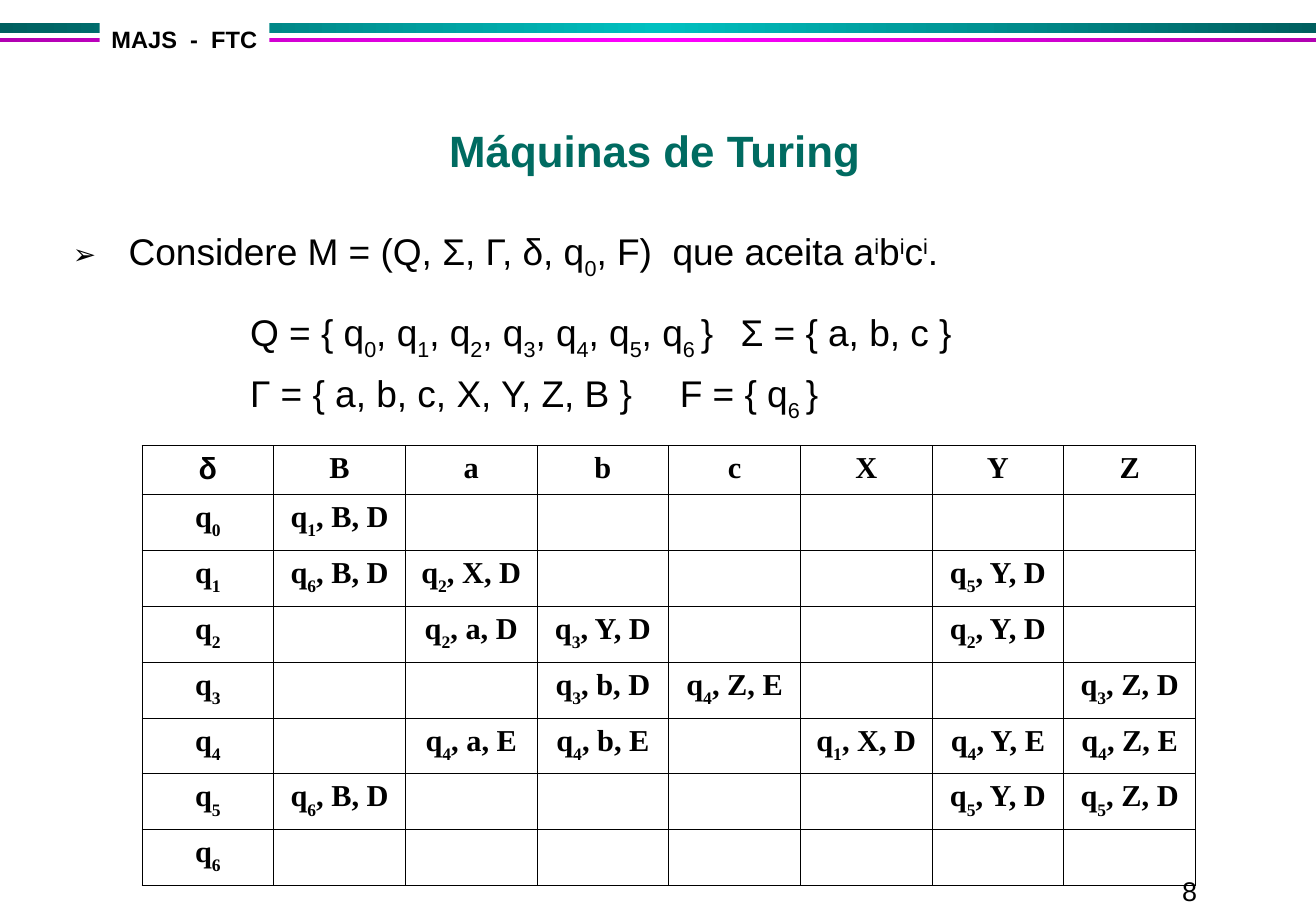
import copy

import pptx
import pptx.dml.color
import pptx.enum.shapes
import pptx.enum.text
import pptx.oxml
import pptx.oxml.ns
import pptx.util

Inches = pptx.util.Inches
Pt = pptx.util.Pt
RGBColor = pptx.dml.color.RGBColor
ALIGN = pptx.enum.text.PP_ALIGN
ANCHOR = pptx.enum.text.MSO_ANCHOR

BLACK = RGBColor(0x00, 0x00, 0x00)
WHITE = RGBColor(0xFF, 0xFF, 0xFF)
TITLE_GREEN = RGBColor(0x00, 0x6B, 0x61)
DARK_TEAL = RGBColor(0x00, 0x5F, 0x5F)
LIGHT_TEAL = RGBColor(0x00, 0xC0, 0xC0)
DARK_MAGENTA = RGBColor(0xB1, 0x00, 0xB1)
MAGENTA = RGBColor(0xFF, 0x00, 0xFF)

# In the texts, _ lowers and ^ raises the next character.
BASELINES = {"_": -30000, "^": 30000}

TITLE = "Máquinas de Turing"
HEADER = "MAJS  -  FTC"
PAGE_NUMBER = "8"
STATEMENT = "Considere M = (Q, Σ, Γ, δ, q_0, F)  que aceita a^ib^ic^i."
DEFINITIONS = [
    ("Q = { q_0, q_1, q_2, q_3, q_4, q_5, q_6_ }\tΣ = { a, b, c }", 16.7),
    ("Γ = { a, b, c, X, Y, Z, B }\tF = { q_6_ }", 5.5),
]
SYMBOLS = ["B", "a", "b", "c", "X", "Y", "Z"]
TRANSITIONS = [
    {"B": "q_1, B, D"},
    {"B": "q_6, B, D", "a": "q_2, X, D", "Y": "q_5, Y, D"},
    {"a": "q_2, a, D", "b": "q_3, Y, D", "Y": "q_2, Y, D"},
    {"b": "q_3, b, D", "c": "q_4, Z, E", "Z": "q_3, Z, D"},
    {"a": "q_4, a, E", "b": "q_4, b, E", "X": "q_1, X, D",
     "Y": "q_4, Y, E", "Z": "q_4, Z, E"},
    {"B": "q_6, B, D", "Y": "q_5, Y, D", "Z": "q_5, Z, D"},
    {},
]
BARS = [
    (0.19, 0.08, DARK_TEAL, LIGHT_TEAL),
    (0.31, 0.04, DARK_MAGENTA, MAGENTA),
]
BORDER_SIDES = ["lnL", "lnR", "lnT", "lnB"]


def xml(source):
    """Parse an element written with the a: prefix."""
    namespace = pptx.oxml.ns.nsdecls("a")
    return pptx.oxml.parse_xml(source.replace(" ", f" {namespace} ", 1))


def split_baselines(text):
    """Split marked text into [text, baseline] pieces."""
    pieces, baseline = [], 0
    for character in text:
        if character in BASELINES:
            baseline = BASELINES[character]
            continue
        if pieces and pieces[-1][1] == baseline:
            pieces[-1][0] += character
        else:
            pieces.append([character, baseline])
        baseline = 0
    return pieces


def write(paragraph, text, size=22, font="Arial", color=BLACK, bold=False,
          align=ALIGN.LEFT, space_before=0):
    """Write marked text into a paragraph with the given format."""
    paragraph.alignment = align
    paragraph.space_before = Pt(space_before)
    paragraph.line_spacing = 1.0
    for piece, baseline in split_baselines(text):
        run = paragraph.add_run()
        run.text = piece
        run.font.size = Pt(size)
        run.font.name = font
        run.font.bold = bold
        run.font.color.rgb = color
        if baseline:
            run.font._element.set("baseline", str(baseline))


def place(shape, left, top, width, height):
    """Move and size a shape, in inches."""
    shape.left, shape.top = Inches(left), Inches(top)
    shape.width, shape.height = Inches(width), Inches(height)


def add_bar(slide, top, height, edge, middle):
    """Add a bar that is lightest at its middle."""
    bar = slide.shapes.add_shape(
        pptx.enum.shapes.MSO_SHAPE.RECTANGLE,
        0, Inches(top), Inches(10.84), Inches(height))
    bar.shadow.inherit = False
    bar.line.fill.background()
    bar.fill.gradient()
    stop_list = bar._element.xpath("./p:spPr/a:gradFill/a:gsLst")[0]
    stop_list.append(copy.deepcopy(stop_list[0]))
    for stop, position, color in zip(
            bar.fill.gradient_stops, (0, 0.5, 1), (edge, middle, edge)):
        stop.position = position
        stop.color.rgb = color
    bar.fill.gradient_angle = 0


def add_label(slide, text, left, top, width, height, **text_format):
    """Add a one-line text box and return it."""
    label = slide.shapes.add_textbox(
        Inches(left), Inches(top), Inches(width), Inches(height))
    label.text_frame.word_wrap = False
    write(label.text_frame.paragraphs[0], text, **text_format)
    return label


def fill_body(body):
    """Write the statement and the definitions of the machine."""
    place(body, 0.5, 1.83, 10, 5.08)
    frame = body.text_frame
    frame.auto_size = pptx.enum.text.MSO_AUTO_SIZE.NONE
    frame.vertical_anchor = ANCHOR.TOP
    statement = frame.paragraphs[0]
    write(statement, STATEMENT, space_before=5.5)
    properties = statement._p.get_or_add_pPr()
    properties.set("marL", str(Inches(0.46)))
    properties.set("indent", str(Inches(-0.46)))
    for source in ('<a:buClr ><a:srgbClr val="000000"/></a:buClr>',
                   '<a:buSzPct val="75000"/>',
                   '<a:buFont typeface="Arial"/>',
                   '<a:buChar char="➢"/>'):
        properties.append(xml(source))
    for text, space_before in DEFINITIONS:
        paragraph = frame.add_paragraph()
        write(paragraph, text, space_before=space_before)
        properties = paragraph._p.get_or_add_pPr()
        properties.set("marL", "0")
        properties.set("indent", str(Inches(1.46)))
        properties.append(xml("<a:buNone />"))
        properties.append(xml(
            f'<a:tabLst ><a:tab pos="{Inches(6.46)}" algn="l"/></a:tabLst>'))


def format_cell(cell):
    """Clear the fill of a cell and draw its thin black borders."""
    properties = cell._tc.get_or_add_tcPr()
    for side in BORDER_SIDES:
        properties.append(xml(
            f'<a:{side} w="{Pt(0.45)}"><a:solidFill>'
            f'<a:srgbClr val="{BLACK}"/></a:solidFill></a:{side}>'))
    cell.fill.background()


def add_transition_table(slide):
    """Add the table of the transition function."""
    rows = [["δ"] + SYMBOLS]
    for state, moves in enumerate(TRANSITIONS):
        rows.append([f"q_{state}"] + [moves.get(s, "") for s in SYMBOLS])
    table = slide.shapes.add_table(
        len(rows), len(rows[0]), Inches(1.17), Inches(3.67),
        Inches(8.68), Inches(3.62)).table
    table.first_row = table.horz_banding = False
    for column in table.columns:
        column.width = Inches(8.68 / len(rows[0]))
    for row_index, texts in enumerate(rows):
        table.rows[row_index].height = Inches(0.46 if row_index else 0.4)
        for column_index, text in enumerate(texts):
            cell = table.cell(row_index, column_index)
            format_cell(cell)
            font = "Arial" if text == "δ" else "Times New Roman"
            write(cell.text_frame.paragraphs[0], text, size=18, font=font,
                  bold=True, align=ALIGN.CENTER, space_before=4.5)


presentation = pptx.Presentation()
presentation.slide_width = Inches(10.84)
presentation.slide_height = Inches(7.5)
slide = presentation.slides.add_slide(presentation.slide_layouts[1])

for bar_format in BARS:
    add_bar(slide, *bar_format)
add_label(slide, PAGE_NUMBER, 9.64, 7.15, 1.2, 0.36, size=16)
header = add_label(slide, HEADER, 0.82, 0.16, 1.4, 0.33, size=14, bold=True)
header.fill.solid()
header.fill.fore_color.rgb = WHITE

title = slide.shapes.title
place(title, 0.79, 0.81, 9.21, 0.69)
title.text_frame.vertical_anchor = ANCHOR.BOTTOM
write(title.text_frame.paragraphs[0], TITLE, size=26, color=TITLE_GREEN,
      bold=True, align=ALIGN.CENTER)
fill_body(slide.placeholders[1])
add_transition_table(slide)

presentation.save("out.pptx")
